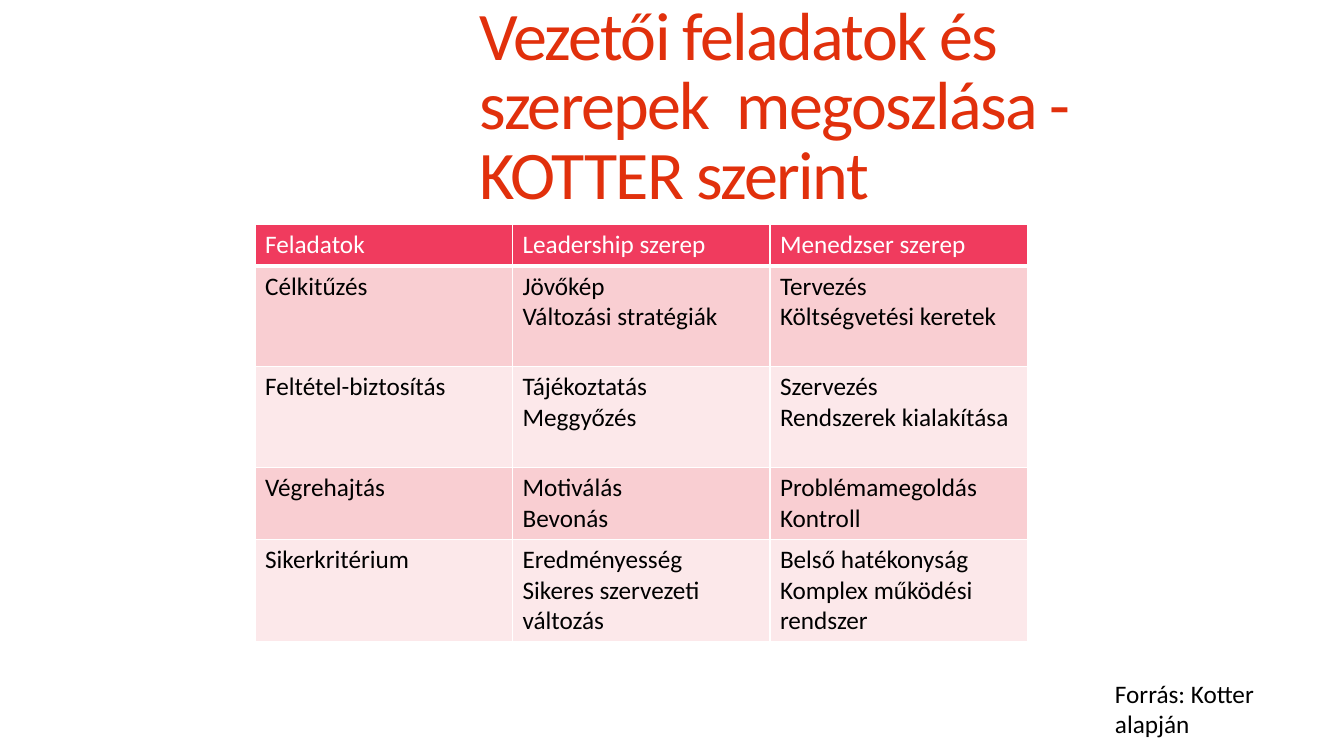
from lxml import etree
from pptx import Presentation
from pptx.dml.color import RGBColor
from pptx.enum.text import MSO_ANCHOR, MSO_AUTO_SIZE, PP_ALIGN
from pptx.oxml.ns import qn
from pptx.util import Inches, Pt

LEFT = PP_ALIGN.LEFT
MIDDLE = MSO_ANCHOR.MIDDLE
NO_FIT = MSO_AUTO_SIZE.NONE
GROW = MSO_AUTO_SIZE.SHAPE_TO_FIT_TEXT
TITLE_ONLY = 5

COLORS = {
    "title": "E1300C",
    "text": "000000",
    "white": "FFFFFF",
    "header": "F03B5E",
    "odd_row": "F9CED2",
    "even_row": "FCE8EA",
}

HEADINGS = ["Feladatok", "Leadership szerep", "Menedzser szerep"]
TASKS = [
    ["Célkitűzés", "Jövőkép\nVáltozási stratégiák", "Tervezés\nKöltségvetési keretek"],
    ["Feltétel-biztosítás", "Tájékoztatás\nMeggyőzés", "Szervezés\nRendszerek kialakítása"],
    ["Végrehajtás", "Motiválás\nBevonás", "Problémamegoldás\nKontroll"],
    ["Sikerkritérium", "Eredményesség\nSikeres szervezeti változás",
     "Belső hatékonyság\nKomplex működési rendszer"],
]
ROW_HEIGHTS = [0.41, 1, 1, 0.71, 1]


class SlideBuilder:
    def __init__(self, slide, font_name="Calibri", body_size=18):
        self.slide = slide
        self.font_name = font_name
        self.body_size = body_size

    def fill_text(self, frame, text, color, size=None):
        """Fill a text frame with one paragraph per line of text."""
        for index, line in enumerate(text.split("\n")):
            paragraph = frame.add_paragraph() if index else frame.paragraphs[0]
            paragraph.alignment = LEFT
            run = paragraph.add_run()
            run.text = line
            run.font.name = self.font_name
            run.font.size = Pt(size or self.body_size)
            run.font.bold = False
            run.font.color.rgb = RGBColor.from_string(COLORS[color])

    def title(self, text, left, top, width, height):
        heading = self.slide.shapes.title
        heading.left, heading.top = Inches(left), Inches(top)
        heading.width, heading.height = Inches(width), Inches(height)
        frame = heading.text_frame
        frame.word_wrap = True
        frame.auto_size = NO_FIT
        frame.vertical_anchor = MIDDLE
        self.fill_text(frame, text, "title", 48.6)
        paragraph = frame.paragraphs[0]
        paragraph.line_spacing = 0.85
        paragraph.runs[0].font._element.set("spc", "-120")

    def text(self, text, left, top, width, height):
        box = self.slide.shapes.add_textbox(
            Inches(left), Inches(top), Inches(width), Inches(height))
        box.text_frame.word_wrap = True
        box.text_frame.auto_size = GROW
        self.fill_text(box.text_frame, text, "text")

    def cell_borders(self, cell, bottom):
        """Draw white cell edges, 1 pt wide except for the bottom one."""
        properties = cell._tc.get_or_add_tcPr()
        edges = {"a:lnL": 1, "a:lnR": 1, "a:lnT": 1, "a:lnB": bottom}
        for position, (tag, width) in enumerate(edges.items()):
            edge = etree.Element(qn(tag), w=str(Pt(width)))
            fill = etree.SubElement(edge, qn("a:solidFill"))
            etree.SubElement(fill, qn("a:srgbClr"), val=COLORS["white"])
            properties.insert(position, edge)

    def table(self, rows, row_heights, left, top, width):
        table = self.slide.shapes.add_table(
            len(rows), len(rows[0]), Inches(left), Inches(top),
            Inches(width), Inches(sum(row_heights))).table
        for row_index, (texts, height) in enumerate(zip(rows, row_heights)):
            table.rows[row_index].height = Inches(height)
            is_header = row_index == 0
            band = "header" if is_header else "odd_row" if row_index % 2 else "even_row"
            for column_index, text in enumerate(texts):
                cell = table.cell(row_index, column_index)
                cell.fill.solid()
                cell.fill.fore_color.rgb = RGBColor.from_string(COLORS[band])
                self.cell_borders(cell, bottom=3 if is_header else 1)
                self.fill_text(cell.text_frame, text, "white" if is_header else "text")


def main():
    presentation = Presentation()
    presentation.slide_width = Inches(13.33)
    presentation.slide_height = Inches(7.5)
    slide = presentation.slides.add_slide(presentation.slide_layouts[TITLE_ONLY])
    builder = SlideBuilder(slide)
    builder.title("Vezetői feladatok és szerepek  megoszlása - KOTTER szerint",
                  4.66, 0.49, 6.88, 1.18)
    builder.table([HEADINGS] + TASKS, ROW_HEIGHTS, 2.53, 2.23, 7.66)
    builder.text("Forrás: Kotter alapján", 10.96, 6.68, 1.92, 0.71)
    presentation.save("out.pptx")


if __name__ == "__main__":
    main()
